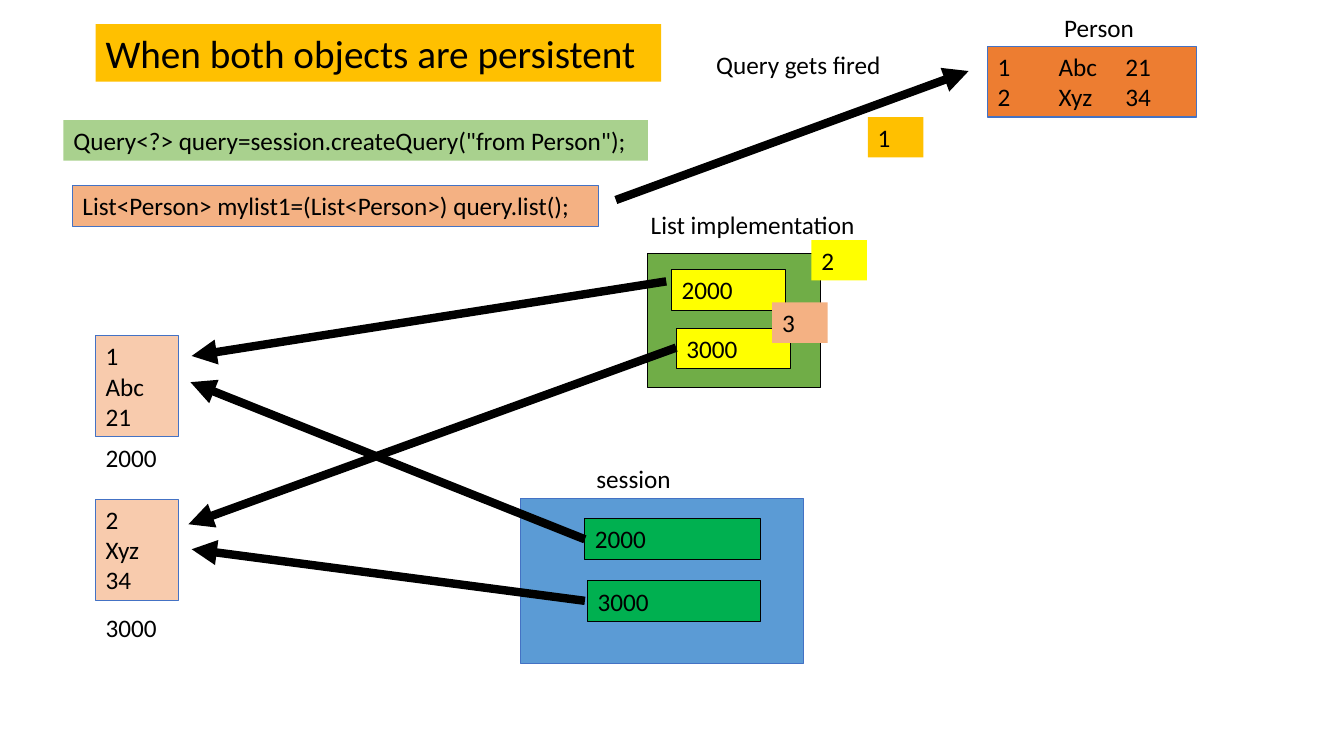
from lxml import etree
from pptx import Presentation
from pptx import util as u
from pptx.dml.color import RGBColor
from pptx.enum import shapes, text
from pptx.oxml.ns import qn

BLACK, BLUE = "000000", "4472C4"
AMBER, YELLOW, SALMON, PEACH = "FFC000", "FFFF00", "F4B183", "F8CBAD"
GREEN, LIME, LEAF = "00B050", "A9D18E", "70AD47"
ORANGE, SKY = "ED7D31", "5B9BD5"
ROW = 1.02  # height of a one-line box


def color(value):
    return RGBColor.from_string(value)


class Diagram:
    font = "Calibri"
    size = 18

    def __init__(self, presentation):
        self.slide = presentation.slides.add_slide(presentation.slide_layouts[6])

    def set_text(self, shape, content, size=None):
        frame = shape.text_frame
        frame.word_wrap = True
        frame.vertical_anchor = text.MSO_ANCHOR.TOP
        frame.text = content
        for paragraph in frame.paragraphs:
            paragraph.alignment = text.PP_ALIGN.LEFT
            for run in paragraph.runs:
                run.font.name = self.font
                run.font.size = u.Pt(size or self.size)
                run.font.color.rgb = color(BLACK)

    def label(self, left, top, width, content):
        shape = self.slide.shapes.add_textbox(
            u.Cm(left), u.Cm(top), u.Cm(width), u.Cm(ROW))
        self.set_text(shape, content)

    def box(self, left, top, width, height, fill, line=None, content="", size=None):
        shape = self.slide.shapes.add_shape(
            shapes.MSO_SHAPE.RECTANGLE,
            u.Cm(left), u.Cm(top), u.Cm(width), u.Cm(height))
        shape.shadow.inherit = False
        shape.fill.solid()
        shape.fill.fore_color.rgb = color(fill)
        if line:
            shape.line.color.rgb = color(line)
            shape.line.width = u.Pt(0.75)
        else:
            shape.line.fill.background()
        if content:
            self.set_text(shape, content, size)
        return shape

    def numbered_rows(self, shape, indent, tab):
        """Number the paragraphs and line up their columns (lengths in cm)."""
        for paragraph in shape.text_frame.paragraphs:
            properties = paragraph._p.get_or_add_pPr()
            properties.set("marL", str(u.Cm(indent)))
            properties.set("indent", str(-u.Cm(indent)))
            etree.SubElement(properties, qn("a:buFont"), typeface=self.font)
            etree.SubElement(properties, qn("a:buAutoNum"), type="arabicPlain")
            tabs = etree.SubElement(properties, qn("a:tabLst"))
            etree.SubElement(tabs, qn("a:tab"), pos=str(u.Cm(tab)), algn="l")

    def arrow(self, x1, y1, x2, y2):
        connector = self.slide.shapes.add_connector(
            shapes.MSO_CONNECTOR.STRAIGHT,
            u.Cm(x1), u.Cm(y1), u.Cm(x2), u.Cm(y2))
        connector.line.color.rgb = color(BLACK)
        connector.line.width = u.Pt(6)
        etree.SubElement(connector.line._get_or_add_ln(), qn("a:tailEnd"), type="triangle")
        etree.SubElement(connector._element.spPr, qn("a:effectLst"))


def main():
    presentation = Presentation()
    presentation.slide_width = u.Cm(33.87)
    presentation.slide_height = u.Cm(19.05)
    diagram = Diagram(presentation)

    # Query code and the Person table
    diagram.box(1.83, 4.68, 13.26, ROW, SALMON, BLUE,
                "List<Person> mylist1=(List<Person>) query.list();")
    person_rows = diagram.box(24.89, 1.17, 5.26, 1.78, ORANGE, BLUE,
                              "Abc\t21\nXyz\t34")
    diagram.numbered_rows(person_rows, 1.54, 4.01)
    diagram.label(26.57, 0.18, 3.28, "Person")
    diagram.box(1.6, 3.03, 14.73, ROW, LIME,
                content='Query<?> query=session.createQuery("from Person");')
    diagram.arrow(15.52, 5.04, 24.41, 1.79)
    diagram.label(17.8, 1.12, 5.08, "Query gets fired")

    # List implementation and its references
    diagram.box(16.33, 6.38, 4.34, 3.38, LEAF, BLACK)
    diagram.label(16.15, 5.16, 5.72, "List implementation")
    diagram.box(17.05, 8.27, 2.87, ROW, YELLOW, BLACK, "3000")
    diagram.box(16.93, 6.8, 2.87, ROW, YELLOW, BLACK, "2000")
    diagram.arrow(16.79, 7.09, 4.83, 8.97)
    diagram.arrow(17.04, 8.76, 4.75, 13.21)

    # Person objects with their addresses
    for top, content, address_top, address in (
            (8.46, "1\nAbc\n21", 11.02, "2000"),
            (12.58, "2\nXyz\n34", 15.3, "3000")):
        diagram.box(2.41, top, 2.08, 2.55, PEACH, BLUE, content)
        diagram.label(2.41, address_top, 1.8, address)

    # Session and its references
    diagram.label(14.78, 11.56, 2.77, "session")
    diagram.box(13.13, 12.56, 7.11, 4.17, SKY, BLUE)
    diagram.box(14.74, 13.07, 4.42, ROW, GREEN, BLACK, "2000")
    diagram.box(14.81, 14.64, 4.35, ROW, GREEN, BLACK, "3000")
    diagram.arrow(14.74, 13.59, 4.8, 9.63)
    diagram.arrow(14.74, 15.14, 4.83, 13.84)

    # Title and step numbers
    diagram.box(2.41, 0.61, 14.25, 1.45, AMBER,
                content="When both objects are persistent", size=28)
    steps = ((21.87, 2.95, AMBER), (20.45, 6.05, YELLOW), (19.46, 7.62, SALMON))
    for number, (left, top, fill) in enumerate(steps, 1):
        diagram.box(left, top, 1.4, ROW, fill, content=str(number))

    presentation.save("out.pptx")


if __name__ == "__main__":
    main()
